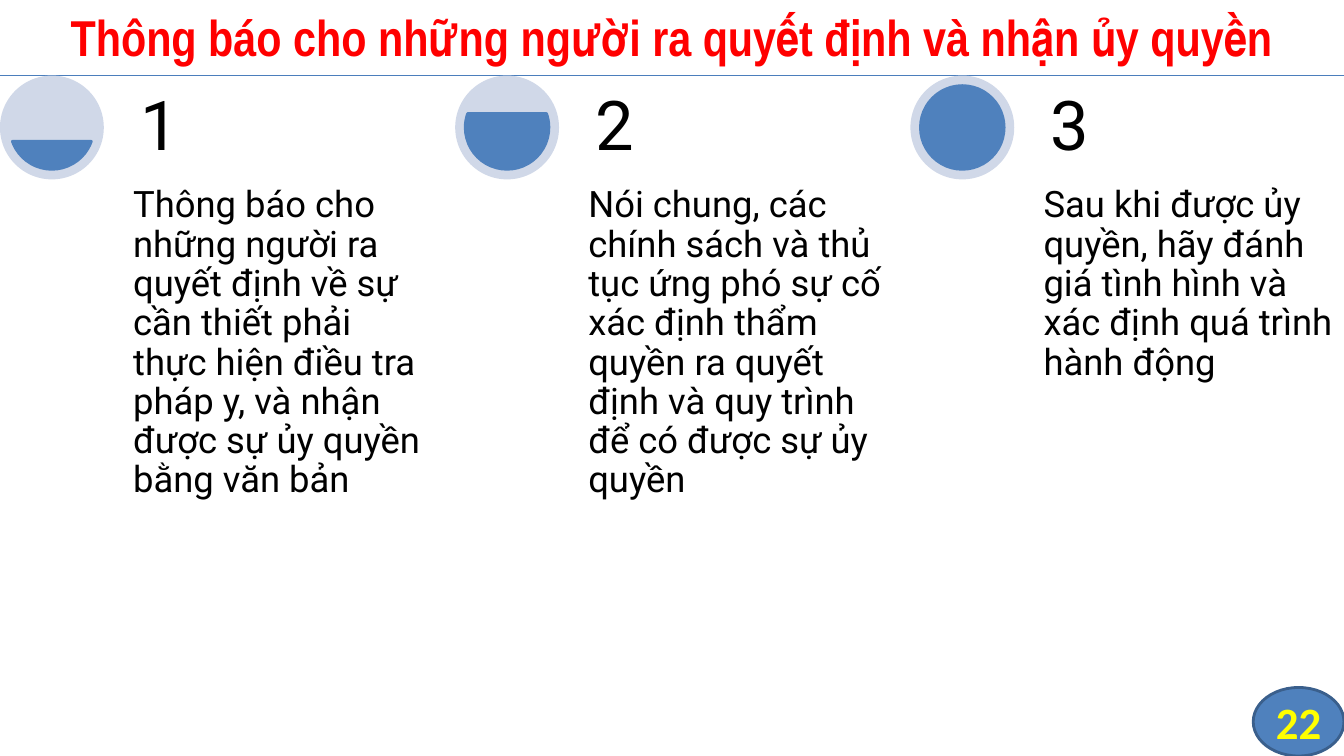
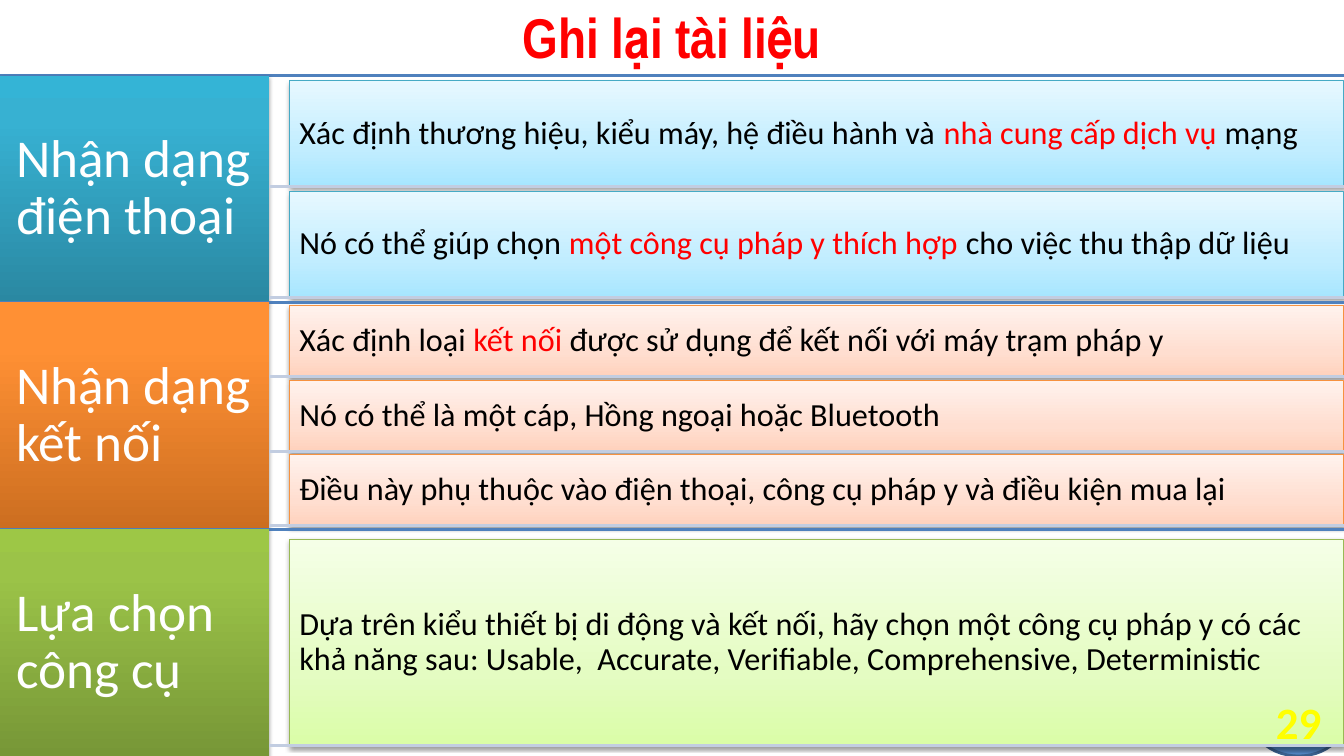
import math

from pptx import Presentation
from pptx import util as u
from pptx.dml.color import RGBColor
from pptx.enum import shapes, text
from pptx.oxml import parse_xml
from pptx.oxml.ns import nsdecls, qn

# Content
NOTIFY = {
    "title": "Thông báo cho những người ra quyết định và nhận ủy quyền",
    "page": "22",
    "steps": [
        "Thông báo cho những người ra quyết định về sự cần thiết phải thực hiện "
        "điều tra pháp y, và nhận được sự ủy quyền bằng văn bản",
        "Nói chung, các chính sách và thủ tục ứng phó sự cố xác định thẩm quyền "
        "ra quyết định và quy trình để có được sự ủy quyền",
        "Sau khi được ủy quyền, hãy đánh giá tình hình và xác định quá trình "
        "hành động",
    ],
}

# Each card is a tuple of runs; every second run is highlighted
DOCUMENT = {
    "title": "Ghi lại tài liệu",
    "page": "29",
    "sections": [
        ("Nhận dạng điện thoại", "teal", [
            ("Xác định thương hiệu, kiểu máy, hệ điều hành và ",
             "nhà cung cấp dịch vụ ", "mạng"),
            ("Nó có thể giúp chọn ", "một công cụ pháp y thích hợp",
             " cho việc thu thập dữ liệu"),
        ]),
        ("Nhận dạng kết nối", "orange", [
            ("Xác định loại ", "kết nối ",
             "được sử dụng để kết nối với máy trạm pháp y"),
            ("Nó có thể là một cáp, Hồng ngoại hoặc Bluetooth",),
            ("Điều này phụ thuộc vào điện thoại, công cụ pháp y và điều kiện mua lại",),
        ]),
        ("Lựa chọn công cụ", "green", [
            ("Dựa trên kiểu thiết bị di động và kết nối, hãy chọn một công cụ "
             "pháp y có các khả năng sau: Usable,  Accurate, Verifiable, "
             "Comprehensive, Deterministic",),
        ]),
    ],
}

THEME = {
    "blue": "4F81BD", "pale": "D0D8E8", "oval_line": "3A5F8C",
    "header_line": "4B7EBC", "card_rule": "C2CDE1", "highlight": "FF0000",
    # Formats: font name, size, colour, bold
    "title": ("Arial Narrow", 36, "FF0000", True),
    "title_large": ("Arial Narrow", 40, "FF0000", True),
    "page": ("Calibri", 32, "FFFF00", True),
    "number": ("Roboto", 49, "000000", False),
    "body": ("Roboto", 26, "000000", False),
    "section": ("Calibri", 38, "FFFFFF", False),
    "card": ("Calibri", 23, "000000", False),
    # Palettes: gradient stops from bottom to top, and the card outline
    "teal": {"block": [(0, "2A88A2"), (80, "37B1D2"), (100, "34B4D6")],
             "card": [(0, "A7E6FF"), (35, "C1EDFF"), (100, "E7F8FF")],
             "line": "46AAC5"},
    "orange": {"block": [(0, "CC6E20"), (80, "FF9034"), (100, "FF9136")],
               "card": [(0, "FFD2BD"), (35, "FFDED0"), (100, "FFF2ED")],
               "line": "F69240"},
    "green": {"block": [(0, "779737"), (80, "9BC348"), (100, "9DC746")],
              "card": [(0, "DAFDA7"), (35, "E4FCC2"), (100, "F5FFE7")],
              "line": "98B955"},
}

PX = 9144  # EMU per px, 100 px to the inch
WIDTH, HEIGHT, HEADER = 1333, 750, 75
SHAPE = shapes.MSO_SHAPE
ANCHOR = text.MSO_ANCHOR


def px(*values):
    return [u.Emu(round(v * PX)) for v in values]


def rgb(value):
    return RGBColor.from_string(value)


# Drawing helpers
def write(sp, runs, style, inset=0, anchor=ANCHOR.MIDDLE, align=None, spacing=None):
    tf = sp.text_frame
    pad = px(inset)[0]
    frame = {"word_wrap": True, "vertical_anchor": anchor, "margin_left": pad,
             "margin_right": pad, "margin_top": pad, "margin_bottom": pad}
    for key, value in frame.items():
        setattr(tf, key, value)
    p = tf.paragraphs[0]
    p.alignment = align or text.PP_ALIGN.LEFT
    if spacing:
        p.line_spacing = spacing
    name, size, color, bold = THEME[style]
    for i, words in enumerate(runs):
        r = p.add_run()
        r.text = words
        for key, value in {"name": name, "size": u.Pt(size), "bold": bold}.items():
            setattr(r.font, key, value)
        r.font.color.rgb = rgb(THEME["highlight"] if i % 2 else color)


def add_text(s, box, words, style, **layout):
    write(s.shapes.add_textbox(*px(*box)), [words], style, **layout)


def add_shape(s, kind, box, fill, line=None, weight=2):
    sp = s.shapes.add_shape(kind, *px(*box))
    sp.shadow.inherit = False
    if isinstance(fill, str):
        sp.fill.solid()
        sp.fill.fore_color.rgb = rgb(fill)
    else:
        sp.fill.gradient()
        props = sp._element.spPr
        stops = "".join(f'<a:gs pos="{pos * 1000}"><a:srgbClr val="{color}"/></a:gs>'
                        for pos, color in fill)
        props.replace(props.find(qn("a:gradFill")), parse_xml(
            f'<a:gradFill {nsdecls("a")} rotWithShape="1"><a:gsLst>{stops}</a:gsLst>'
            '<a:lin ang="16200000" scaled="0"/></a:gradFill>'))
    if line:
        sp.line.color.rgb = rgb(line)
        sp.line.width = u.Pt(weight)
    else:
        sp.line.fill.background()
    return sp


def add_shadow(sp, opacity, distance):
    sp._element.spPr.find(qn("a:effectLst")).append(parse_xml(
        f'<a:outerShdw {nsdecls("a")} blurRad="{u.Pt(3.1)}" dist="{u.Pt(distance)}" '
        'dir="5400000" rotWithShape="0"><a:srgbClr val="000000">'
        f'<a:alpha val="{opacity * 1000}"/></a:srgbClr></a:outerShdw>'))


def add_rule(s, left, y, color, weight=2):
    rule = s.shapes.add_connector(shapes.MSO_CONNECTOR.STRAIGHT,
                                  *px(left, y, WIDTH, y))
    rule.line.color.rgb = rgb(THEME[color])
    rule.line.width = u.Pt(weight)
    rule._element.spPr.append(parse_xml(f'<a:effectLst {nsdecls("a")}/>'))


# Slide bodies
def draw_steps(s, steps):
    disc, inner, text_left, text_width = 103, 83, 125, 305
    pitch = (WIDTH - text_left - text_width) / (len(steps) - 1)
    pad = (disc - inner) / 2
    for i, words in enumerate(steps):
        left = i * pitch
        add_shape(s, SHAPE.OVAL, (left, HEADER, disc, disc), THEME["pale"])
        # The chord fills the disc in proportion to progress
        level = (i + 1) / len(steps)
        angle = math.degrees(math.asin(1 - 2 * level))
        chord = add_shape(s, SHAPE.CHORD, (left + pad, HEADER + pad, inner, inner),
                          THEME["blue"], THEME["blue"])
        for j, degrees in enumerate((angle % 360, 180 - angle)):
            chord.adjustments[j] = round(degrees * 0.6, 3)
        x = left + text_left
        add_text(s, (x, HEADER + disc, text_width, 434), words, "body",
                 inset=7, anchor=ANCHOR.TOP, spacing=0.9)
        add_text(s, (x, HEADER, text_width, disc), str(i + 1), "number",
                 inset=14, anchor=ANCHOR.BOTTOM, spacing=0.9)


def draw_sections(s, sections):
    block_width, card_left = 267, 287
    height = (HEIGHT - HEADER) / len(sections)
    for i, (name, palette, cards) in enumerate(sections):
        colors = THEME[palette]
        top = HEADER + i * height
        add_rule(s, 0, top, "blue")
        block = add_shape(s, SHAPE.RECTANGLE, (0, top, block_width, height),
                          colors["block"])
        add_shadow(block, 35, 1.8)
        write(block, [name], "section", inset=16, spacing=0.9)
        # Gaps around the cards are 5% of a card's height
        n = len(cards)
        card_height = height / (n + 0.05 * (n + 1))
        gap = 0.05 * card_height
        for j, runs in enumerate(cards):
            y = top + gap + j * (card_height + gap)
            card = add_shape(s, SHAPE.RECTANGLE,
                             (card_left, y, WIDTH - card_left, card_height),
                             colors["card"], colors["line"], 0.75)
            add_shadow(card, 38, 1.6)
            write(card, runs, "card", inset=10, spacing=0.9)
            add_rule(s, block_width, y + card_height, "card_rule")


def add_slide(prs, content, title_style, draw_body, items):
    s = prs.slides.add_slide(prs.slide_layouts[6])
    badge = (1243, 682, 90, 68)
    add_shape(s, SHAPE.FLOWCHART_CONNECTOR, badge, THEME["blue"], THEME["oval_line"])
    add_rule(s, 0, HEADER, "header_line", 0.75)
    draw_body(s, items)
    center = text.PP_ALIGN.CENTER
    add_text(s, (0, -3, WIDTH, 78), content["title"], title_style,
             inset=5, align=center)
    add_text(s, badge, content["page"], "page", align=center)


def main():
    prs = Presentation()
    prs.slide_width, prs.slide_height = px(WIDTH, HEIGHT)
    add_slide(prs, NOTIFY, "title", draw_steps, NOTIFY["steps"])
    add_slide(prs, DOCUMENT, "title_large", draw_sections, DOCUMENT["sections"])
    prs.save("out.pptx")


if __name__ == "__main__":
    main()
